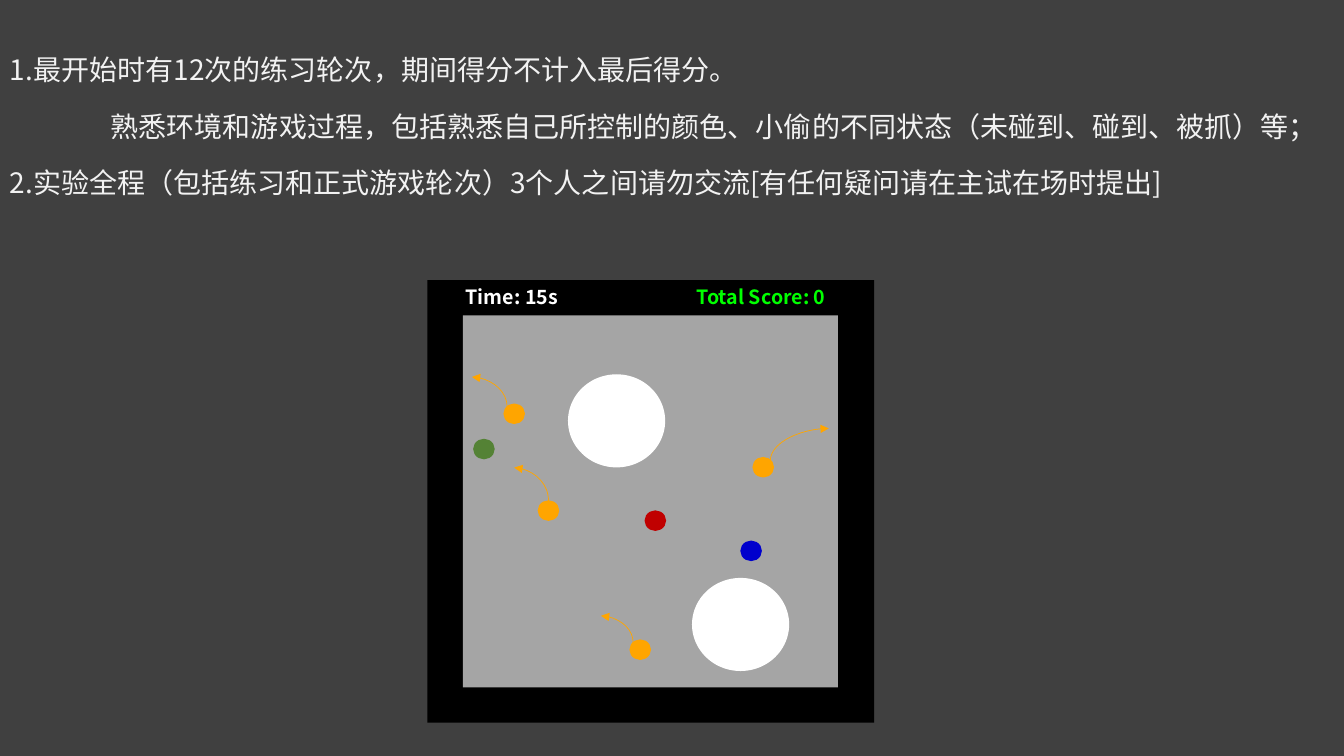
"""Build the practice-round instruction slide with its game board."""

from pptx import Presentation
from pptx import util as u
from pptx.dml.color import RGBColor
from pptx.enum import shapes, text
from pptx.oxml.ns import qn
from lxml import etree

FONT = "Noto Sans CJK SC"
BACKGROUND = RGBColor(0x40, 0x40, 0x40)
PALE = RGBColor(0xF2, 0xF2, 0xF2)
BLACK = RGBColor(0, 0, 0)
GREY = RGBColor(0xA5, 0xA5, 0xA5)
WHITE = RGBColor(0xFF, 0xFF, 0xFF)
LIME = RGBColor(0, 0xFF, 0)
ORANGE = RGBColor(0xFF, 0xA5, 0)
RED = RGBColor(0xC0, 0, 0)
BLUE = RGBColor(0, 0, 0xCD)
GREEN = RGBColor(0x54, 0x82, 0x35)

INSTRUCTIONS = [
    ("1.最开始时有12次的练习轮次，期间得分不计入最后得分。", 0),
    ("熟悉环境和游戏过程，包括熟悉自己所控制的颜色、小偷的不同状态（未碰到、碰到、被抓）等；", 1),
    ("2.实验全程（包括练习和正式游戏轮次）3个人之间请勿交流[有任何疑问请在主试在场时提出]", 0),
]
PANELS = [((4.24, 2.78, 4.43, 4.39), BLACK), ((4.59, 3.13, 3.72, 3.69), GREY)]
LABELS = [
    ("Time: 15s", (4.52, 2.78, 1.16, 0.34), WHITE),
    ("Total Score: 0", (6.81, 2.78, 1.6, 0.34), LIME),
]
THIEVES = [(5, 4.01), (7.47, 4.54), (5.34, 4.97), (6.25, 6.35)]
PLAYERS = [((6.4, 5.07), RED), ((7.35, 5.37), BLUE), ((4.7, 4.36), GREEN)]
OBSTACLES = [(5.64, 3.72), (6.87, 5.74)]
ESCAPES = [
    ((7.64, 4.57), (8.22, 4.25)),
    ((5.03, 4.04), (4.68, 3.74)),
    ((5.44, 4.97), (5.1, 4.64)),
    ((6.28, 6.38), (5.96, 6.11)),
]
DOT_SIZE = (0.2, 0.19)
OBSTACLE_SIZE = (0.95, 0.91)


def add_filled(parent, kind, box, color, outlined=False):
    """Add a plain filled shape, outlined in its own colour on request."""
    shape = parent.shapes.add_shape(kind, *map(u.Inches, box))
    shape.shadow.inherit = False
    shape.fill.solid()
    shape.fill.fore_color.rgb = color
    if outlined:
        shape.line.color.rgb = color
        shape.line.width = u.Pt(1)
    else:
        shape.line.fill.background()


def add_text(parent, lines, box, size, color, bold=False):
    """Add a wrapping text box and return its paragraphs."""
    frame = parent.shapes.add_textbox(*map(u.Inches, box)).text_frame
    frame.word_wrap = True
    frame.auto_size = text.MSO_AUTO_SIZE.SHAPE_TO_FIT_TEXT
    frame.text = "\n".join(lines)
    for paragraph in frame.paragraphs:
        font = paragraph.font
        font.name, font.size, font.bold = FONT, u.Pt(size), bold
        font.color.rgb = color
        properties = paragraph._p.pPr.find(qn("a:defRPr"))
        etree.SubElement(properties, qn("a:ea")).set("typeface", FONT)
    return frame.paragraphs


def add_escape(parent, start, end):
    """Add a curved arrow that leaves upwards and arrives sideways."""
    (x1, y1), (x2, y2) = start, end
    center_x, center_y = (x1 + x2) / 2, (y1 + y2) / 2
    half_width, half_height = abs(y2 - y1) / 2, (x2 - x1) / 2
    ends = (center_x - half_width, center_y - half_height,
            center_x + half_width, center_y + half_height)
    connector = parent.shapes.add_connector(shapes.MSO_CONNECTOR.CURVE, *map(u.Inches, ends))
    connector.line.color.rgb = ORANGE
    connector.line.width = u.Pt(0.5)
    properties = connector._element.spPr
    properties.find(qn("a:xfrm")).set("rot", str(270 * 60000))
    properties.find(qn("a:prstGeom")).set("prst", "curvedConnector2")
    etree.SubElement(properties.find(qn("a:ln")), qn("a:tailEnd")).set("type", "triangle")
    etree.SubElement(properties, qn("a:effectLst"))


presentation = Presentation()
presentation.slide_width = u.Inches(13.33)
presentation.slide_height = u.Inches(7.5)
slide = presentation.slides.add_slide(presentation.slide_layouts[6])
slide.background.fill.solid()
slide.background.fill.fore_color.rgb = BACKGROUND

lines, indents = zip(*INSTRUCTIONS)
paragraphs = add_text(slide, lines, (0, 0.31, 13.33, 2.21), 20, PALE)
for paragraph, indent in zip(paragraphs, indents):
    paragraph.line_spacing = 1.5
    paragraph.space_before = paragraph.space_after = u.Pt(2)
    paragraph._p.pPr.set("indent", str(u.Inches(indent)))

board = slide.shapes.add_group_shape()
for box, color in PANELS:
    add_filled(board, shapes.MSO_SHAPE.RECTANGLE, box, color)
dots = [(place, DOT_SIZE, ORANGE) for place in THIEVES]
dots += [(place, DOT_SIZE, color) for place, color in PLAYERS]
dots += [(place, OBSTACLE_SIZE, WHITE) for place in OBSTACLES]
for place, size, color in dots:
    add_filled(board, shapes.MSO_SHAPE.OVAL, place + size, color, outlined=True)
for start, end in ESCAPES:
    add_escape(board, start, end)
for label, box, color in LABELS:
    add_text(board, [label], box, 14, color, bold=True)

presentation.save("out.pptx")
